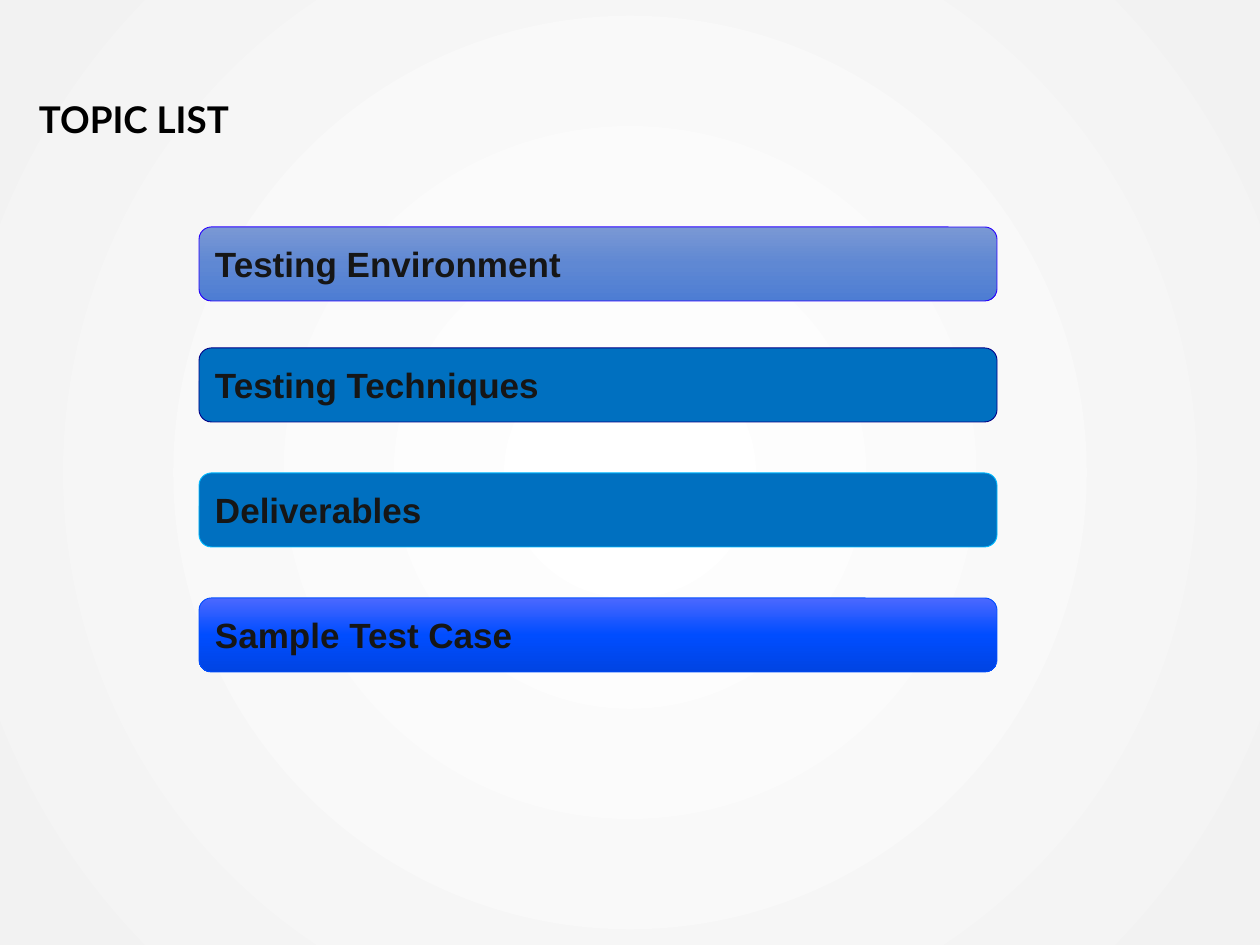
from lxml.etree import SubElement
from pptx import Presentation
from pptx.dml.color import RGBColor
from pptx.enum.shapes import MSO_SHAPE
from pptx.enum.text import MSO_ANCHOR, MSO_AUTO_SIZE, PP_ALIGN
from pptx.oxml.ns import qn
from pptx.util import Emu, Pt

BLACK = RGBColor(0x00, 0x00, 0x00)
INK = RGBColor(0x16, 0x16, 0x16)
WHITE = RGBColor(0xFF, 0xFF, 0xFF)
PALE_GRAY = RGBColor(0xF2, 0xF2, 0xF2)
BLUE = RGBColor(0x00, 0x70, 0xC0)
VIOLET = RGBColor(0x28, 0x00, 0xFF)
NAVY = RGBColor(0x00, 0x00, 0x88)
CYAN = RGBColor(0x00, 0xBA, 0xFF)
ROYAL = RGBColor(0x00, 0x4D, 0xFF)

SOFT_STOPS = [(0, RGBColor(0x7A, 0x98, 0xD4)), (50, RGBColor(0x5F, 0x88, 0xD3)),
              (100, RGBColor(0x4D, 0x7D, 0xD3))]
VIVID_STOPS = [(0, RGBColor(0x4B, 0x68, 0xFF)), (50, ROYAL),
               (100, RGBColor(0x00, 0x44, 0xE3))]
BACKGROUND_STOPS = [(2, WHITE), (100, PALE_GRAY)]

# Content: topic, top in px, fill colour or gradient stops, line colour
TITLE = "TOPIC LIST"
TOPICS = [
    ("Testing Environment", 227, SOFT_STOPS, VIOLET),
    ("Testing Techniques", 348, BLUE, NAVY),
    ("Deliverables", 473, BLUE, CYAN),
    ("Sample Test Case", 598, VIVID_STOPS, ROYAL),
]
BAR_LEFT, BAR_WIDTH, BAR_HEIGHT = 199, 798, 74


def px(count):
    return Emu(round(count * 914400 / 126))


def place(shape, left, top, width, height):
    shape.left, shape.top = px(left), px(top)
    shape.width, shape.height = px(width), px(height)


def set_gradient(properties, stops, circular=False):
    """Replace the solid fill in a properties element with a gradient."""
    solid = properties.find(qn("a:solidFill"))
    gradient = solid.makeelement(qn("a:gradFill"), {"rotWithShape": "1"})
    stop_list = SubElement(gradient, qn("a:gsLst"))
    for percent, color in stops:
        stop = SubElement(stop_list, qn("a:gs"), pos=str(percent * 1000))
        SubElement(stop, qn("a:srgbClr"), val=str(color))
    if circular:
        circle = SubElement(gradient, qn("a:path"), {"path": "circle"})
        SubElement(circle, qn("a:fillToRect"), l="50000", t="50000", r="50000", b="50000")
    else:
        SubElement(gradient, qn("a:lin"), ang="5400000", scaled="0")
    properties.replace(solid, gradient)


def write_text(shape, text, *, font, size, color, anchor, line_spacing=1.0):
    frame = shape.text_frame
    frame.word_wrap = True
    frame.auto_size = MSO_AUTO_SIZE.NONE
    frame.vertical_anchor = anchor
    paragraph = frame.paragraphs[0]
    paragraph.alignment = PP_ALIGN.LEFT
    paragraph.line_spacing = line_spacing
    run = paragraph.add_run()
    run.text = text
    run.font.name = font
    run.font.size = Pt(size)
    run.font.bold = True
    run.font.color.rgb = color


def add_bar(slide, text, top, fill, line_color):
    bar = slide.shapes.add_shape(MSO_SHAPE.ROUNDED_RECTANGLE, 0, 0, 0, 0)
    place(bar, BAR_LEFT, top, BAR_WIDTH, BAR_HEIGHT)
    bar.shadow.inherit = False
    bar.fill.solid()
    if isinstance(fill, RGBColor):
        bar.fill.fore_color.rgb = fill
    else:
        set_gradient(bar.element.spPr, fill)
    bar.line.color.rgb = line_color
    bar.line.width = Pt(0.5)
    write_text(bar, text, font="Arial", size=20, color=INK, anchor=MSO_ANCHOR.MIDDLE)


def main():
    presentation = Presentation()
    presentation.slide_width, presentation.slide_height = px(1260), px(945)
    slide = presentation.slides.add_slide(presentation.slide_layouts[5])

    # Background
    slide.background.fill.solid()
    set_gradient(slide.element.find(".//" + qn("p:bgPr")), BACKGROUND_STOPS, circular=True)

    # Title
    title = slide.shapes.title
    place(title, 39, 0, 1182, 140)
    frame = title.text_frame
    frame.margin_left = frame.margin_right = frame.margin_bottom = 0
    frame.margin_top = Pt(3.6)
    write_text(title, TITLE, font="Lato", size=21, color=BLACK,
               anchor=MSO_ANCHOR.BOTTOM, line_spacing=0.7)

    # Topic bars
    for topic in TOPICS:
        add_bar(slide, *topic)

    presentation.save("out.pptx")


if __name__ == "__main__":
    main()
